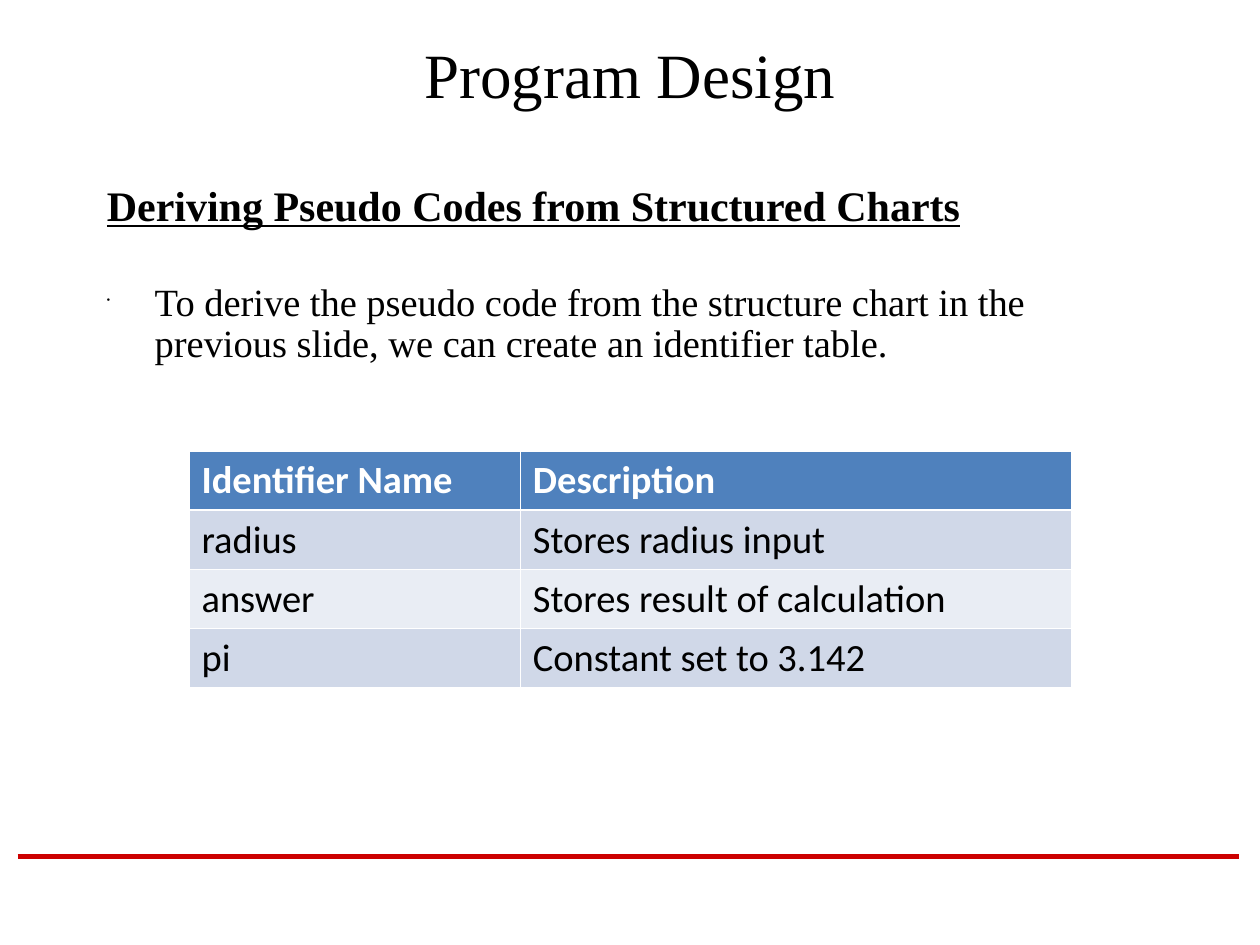
"""Build the Program Design slide with its identifier table."""
from dataclasses import dataclass

from lxml import etree
from pptx import Presentation
from pptx.dml.color import RGBColor
from pptx.enum.shapes import MSO_CONNECTOR
from pptx.enum.text import MSO_ANCHOR, PP_ALIGN
from pptx.oxml.ns import qn
from pptx.util import Inches, Pt

STRAIGHT = MSO_CONNECTOR.STRAIGHT
MIDDLE = MSO_ANCHOR.MIDDLE
CENTER = PP_ALIGN.CENTER


@dataclass(frozen=True)
class Theme:
    serif: str = "Times New Roman"
    sans: str = "Calibri"
    black: str = "000000"
    white: str = "FFFFFF"
    rule: str = "CC0000"
    header: str = "4F81BD"
    bands: tuple = ("D0D8E8", "E9EDF4")
    title: int = 36
    heading: int = 24
    body: int = 22


theme = Theme()


def style(p, font, size, color, bold=False, underline=False):
    for r in p.runs:
        r.font.name = font
        r.font.size = Pt(size)
        r.font.color.rgb = RGBColor.from_string(color)
        r.font.bold = bold
        r.font.underline = underline


def add_border(tc_pr, side, width):
    ln = etree.SubElement(tc_pr, qn(f"a:ln{side}"), w=str(Pt(width)))
    fill = etree.SubElement(ln, qn("a:solidFill"))
    etree.SubElement(fill, qn("a:srgbClr"), val=theme.white)


prs = Presentation()
prs.slide_width, prs.slide_height = Inches(10), Inches(7.5)
s = prs.slides.add_slide(prs.slide_layouts[6])

rule = s.shapes.add_connector(STRAIGHT, Inches(0.14), Inches(6.8), Inches(9.83), Inches(6.8))
rule.line.color.rgb = RGBColor.from_string(theme.rule)
rule.line.width = Pt(3)
etree.SubElement(rule._element.spPr, qn("a:effectLst"))

title = s.shapes.add_textbox(Inches(0.75), Inches(0.17), Inches(8.5), Inches(0.83))
tf = title.text_frame
tf.word_wrap = True
tf.vertical_anchor = MIDDLE
tf.text = "Program Design"
tf.paragraphs[0].alignment = CENTER
style(tf.paragraphs[0], theme.serif, theme.title, theme.black)

body = s.shapes.add_textbox(Inches(0.75), Inches(1.42), Inches(8.5), Inches(4.5))
tf = body.text_frame
tf.word_wrap = True
tf.text = (
    "Deriving Pseudo Codes from Structured Charts\n"
    "To derive the pseudo code from the structure chart in the previous slide, "
    "we can create an identifier table."
)
heading, bullet = tf.paragraphs
bullet.space_before = Pt(30)
for p in tf.paragraphs:
    p.line_spacing = 0.9
    p_pr = p._p.get_or_add_pPr()
    p_pr.set("marL", str(Inches(0.38)))
    p_pr.set("indent", str(Inches(-0.38)))
p_pr = bullet._p.get_or_add_pPr()
bullet_color = etree.SubElement(p_pr, qn("a:buClr"))
etree.SubElement(bullet_color, qn("a:srgbClr"), val=theme.black)
etree.SubElement(p_pr, qn("a:buSzPct"), val="25000")
etree.SubElement(p_pr, qn("a:buChar"), char="•")
style(heading, theme.serif, theme.heading, theme.black, bold=True, underline=True)
style(bullet, theme.serif, theme.body, theme.black)

rows = [
    ("Identifier Name", "Description"),
    ("radius", "Stores radius input"),
    ("answer", "Stores result of calculation"),
    ("pi", "Constant set to 3.142"),
]
table = s.shapes.add_table(
    len(rows), 2, Inches(1.5), Inches(3.58), Inches(7), Inches(0.47 * len(rows))
).table
for column, width in zip(table.columns, (2.63, 4.37)):
    column.width = Inches(width)
for i, row in enumerate(rows):
    is_header = i == 0
    table.rows[i].height = Inches(0.47)
    for j, text in enumerate(row):
        cell = table.cell(i, j)
        cell.text = text
        cell.vertical_anchor = MIDDLE
        tc_pr = cell._tc.get_or_add_tcPr()
        for side in "LRTB":
            heavy = (i, side) in ((0, "B"), (1, "T"))
            add_border(tc_pr, side, 1.47 if heavy else 0.45)
        cell.fill.solid()
        fill = theme.header if is_header else theme.bands[(i - 1) % 2]
        cell.fill.fore_color.rgb = RGBColor.from_string(fill)
        color = theme.white if is_header else theme.black
        style(cell.text_frame.paragraphs[0], theme.sans, theme.body, color, bold=is_header)

prs.save("out.pptx")
